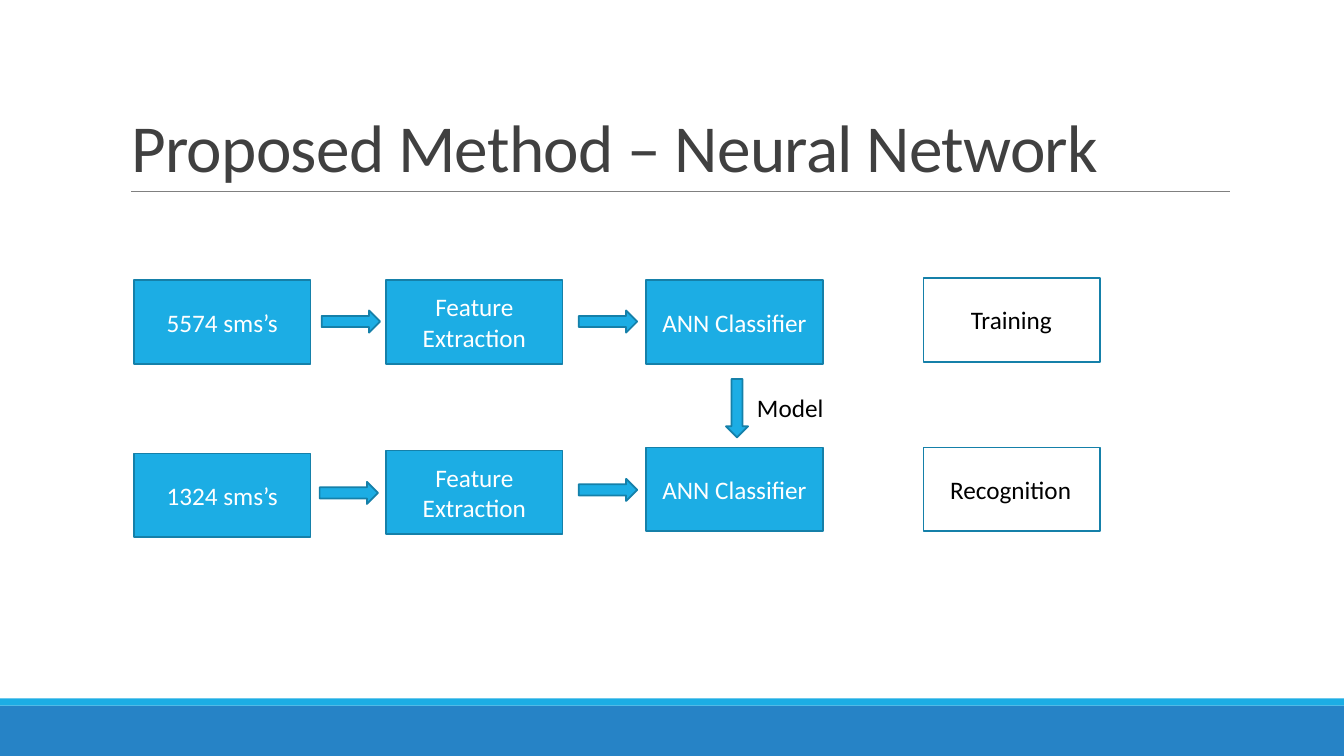
from dataclasses import dataclass

from lxml.etree import SubElement
from pptx import Presentation
from pptx.dml.color import RGBColor
from pptx.enum.shapes import MSO_CONNECTOR, MSO_SHAPE
from pptx.enum.text import MSO_ANCHOR, MSO_AUTO_SIZE, PP_ALIGN
from pptx.oxml.ns import qn
from pptx.util import Inches, Pt


@dataclass(frozen=True)
class Theme:
    """Colours, type sizes and font of the deck."""
    accent: str = "1CADE4"
    outline: str = "1580A9"
    band: str = "2683C6"
    rule: str = "808080"
    title: str = "404040"
    ink: str = "000000"
    paper: str = "FFFFFF"
    font: str = "Calibri"
    title_size: int = 48
    body_size: int = 18


T = Theme()
WIDTH, HEIGHT = 13.33, 7.5
BOX_W, BOX_H = 1.75, 0.83
ARROW_LEN, ARROW_W = 0.58, 0.22
COLUMNS = (1.33, 3.83, 6.41, 9.16)


def style(p, size, color, align=PP_ALIGN.LEFT):
    """Format one paragraph."""
    p.alignment = align
    p.font.name, p.font.size = T.font, Pt(size)
    p.font.color.rgb = RGBColor.from_string(color)


def add_block(s, kind, box, fill, line=None):
    """Add a flat preset shape in the given box."""
    sp = s.shapes.add_shape(kind, *map(Inches, box))
    sp.shadow.inherit = False
    sp.fill.solid()
    sp.fill.fore_color.rgb = RGBColor.from_string(fill)
    if line:
        sp.line.color.rgb = RGBColor.from_string(line)
        sp.line.width = Pt(1.25)
    else:
        sp.line.fill.background()
    return sp


def add_label(s, text, box):
    """Add an unwrapped black label."""
    tf = s.shapes.add_textbox(*map(Inches, box)).text_frame
    tf.word_wrap = False
    tf.auto_size = MSO_AUTO_SIZE.SHAPE_TO_FIT_TEXT
    tf.text = text
    style(tf.paragraphs[0], T.body_size, T.ink)


def add_step(s, text, x, y):
    """Add a filled process step."""
    sp = add_block(s, MSO_SHAPE.RECTANGLE, (x, y, BOX_W, BOX_H), T.accent, T.outline)
    tf = sp.text_frame
    tf.word_wrap = True
    tf.vertical_anchor = MSO_ANCHOR.MIDDLE
    tf.text = text
    style(tf.paragraphs[0], T.body_size, T.paper, PP_ALIGN.CENTER)


def add_footer(s, top, strip):
    """Add the thin strip and the deep band at the slide's foot."""
    add_block(s, MSO_SHAPE.RECTANGLE, (0, top + strip, WIDTH, HEIGHT - top - strip), T.band)
    add_block(s, MSO_SHAPE.RECTANGLE, (0, top, WIDTH, strip), T.accent)


def add_title(s, text, box):
    """Fill the title placeholder and underline it."""
    x, y, w, h = box
    title = s.shapes.title
    title.left, title.top, title.width, title.height = map(Inches, box)
    tf = title.text_frame
    tf.word_wrap = True
    tf.auto_size = MSO_AUTO_SIZE.NONE
    tf.vertical_anchor = MSO_ANCHOR.BOTTOM
    tf.text = text
    p = tf.paragraphs[0]
    p.line_spacing = 0.85
    style(p, T.title_size, T.title)
    p.runs[0].font._element.set("spc", "-50")
    rule = s.shapes.add_connector(
        MSO_CONNECTOR.STRAIGHT, *map(Inches, (x + 0.1, y + h, x + w, y + h)))
    rule.line.color.rgb = RGBColor.from_string(T.rule)
    rule.line.width = Pt(0.5)
    SubElement(rule._element.spPr, qn("a:effectLst"))


def add_pipeline(s, steps, tops, arrows, arrow_drop):
    """Add a row of steps, with an arrow after each but the last."""
    for text, x, y in zip(steps, COLUMNS, tops):
        add_step(s, text, x, y)
    for x, y in zip(arrows, tops):
        add_block(s, MSO_SHAPE.RIGHT_ARROW, (x, y + arrow_drop, ARROW_LEN, ARROW_W),
                  T.accent, T.outline)


def add_phase(s, text, y, label_w):
    """Add an outlined phase box with its label in the middle."""
    x, label_h = COLUMNS[-1], 0.4
    add_block(s, MSO_SHAPE.RECTANGLE, (x, y, BOX_W, BOX_H), T.paper, T.outline)
    add_label(s, text, (x + (BOX_W - label_w) / 2, y + (BOX_H - label_h) / 2,
                        label_w, label_h))


def add_model_link(s, x, y):
    """Add the arrow that hands the model down, and its label."""
    add_block(s, MSO_SHAPE.DOWN_ARROW, (x, y, ARROW_W, ARROW_LEN), T.accent, T.outline)
    add_label(s, "Model", (x + 0.21, y + 0.08, 0.87, 0.4))


def main():
    """Build the slide and save it."""
    prs = Presentation()
    prs.slide_width, prs.slide_height = Inches(WIDTH), Inches(HEIGHT)
    s = prs.slides.add_slide(prs.slide_layouts[5])
    add_footer(s, 6.93, 0.07)
    add_title(s, "Proposed Method – Neural Network", (1.2, 0.31, 11, 1.59))
    shared = ("Feature Extraction", "ANN Classifier")
    add_pipeline(s, ("5574 sms’s", *shared), (2.78, 2.78, 2.78), (3.19, 5.74), 0.3)
    add_pipeline(s, ("1324 sms’s", *shared), (4.5, 4.47, 4.44), (3.17, 5.74), 0.28)
    add_phase(s, "Training", 2.76, 1.01)
    add_phase(s, "Recognition", 4.44, 1.42)
    add_model_link(s, 7.2, 3.76)
    prs.save("out.pptx")


if __name__ == "__main__":
    main()
